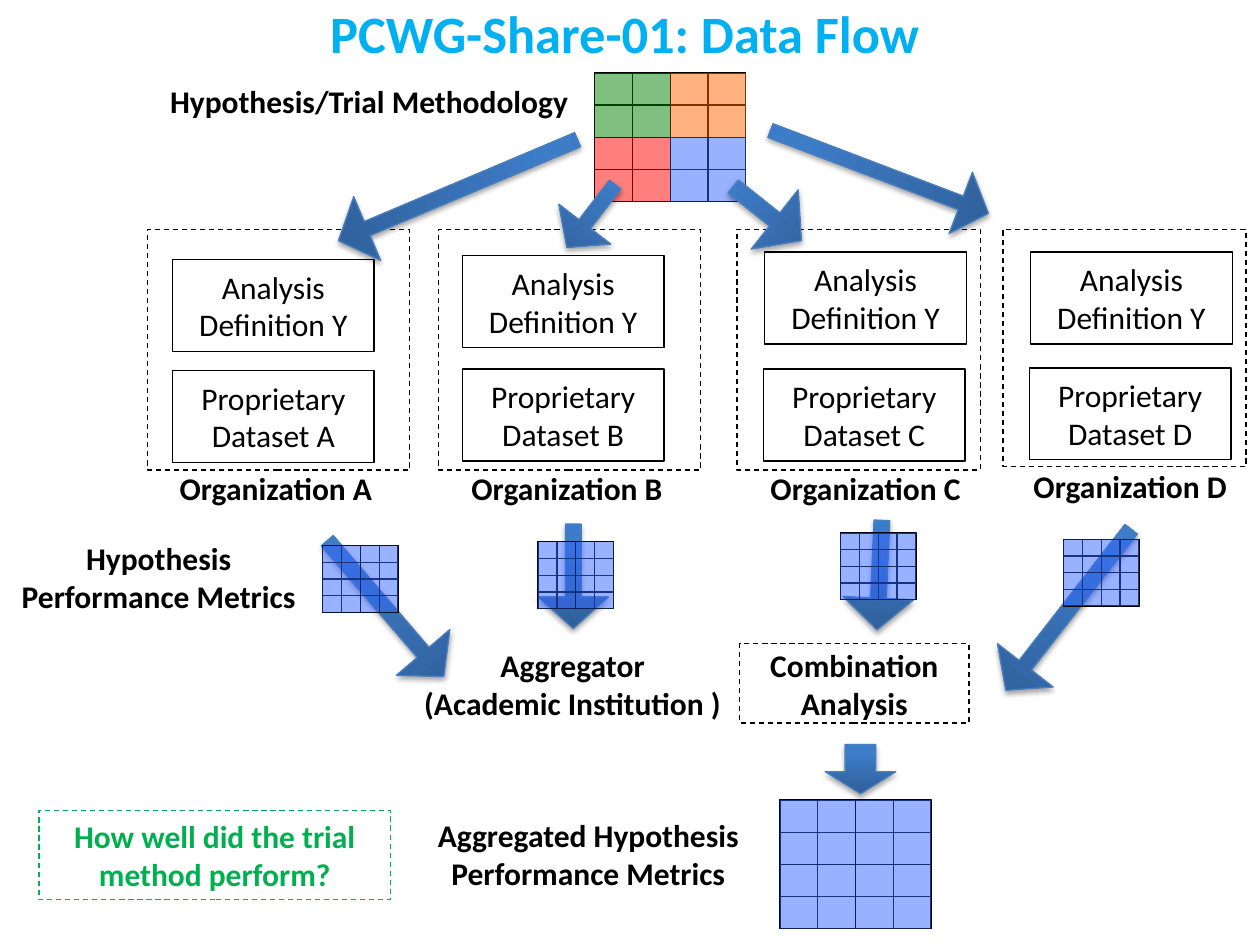
from pptx import Presentation
from pptx.dml.color import RGBColor
from pptx.enum.dml import MSO_LINE
from pptx.enum.shapes import MSO_SHAPE
from pptx.enum.text import MSO_ANCHOR, MSO_AUTO_SIZE, PP_ALIGN
from pptx.oxml import parse_xml
from pptx.oxml.ns import nsdecls, qn
from pptx.util import Emu, Pt

RECT, DOWN_ARROW = MSO_SHAPE.RECTANGLE, MSO_SHAPE.DOWN_ARROW
DASH, CENTER, MIDDLE = MSO_LINE.DASH, PP_ALIGN.CENTER, MSO_ANCHOR.MIDDLE
NO_AUTOFIT = MSO_AUTO_SIZE.NONE

PX = 9144  # 100 px to the inch
FONT = "Calibri"
BLACK, GREEN, SKY = "000000", "00B050", "00B0F0"
BLUE, RED, LEAF, ORANGE = "3366FF", "FF0000", "008000", "FF6600"
ARROW_LINE = "4B7EBC"
ARROW_STOPS = ((0, "2F5F99"), (80, "3D7CC7"), (100, "3A7CCB"))
INNER_BOX = (160, 73)
SMALL_GRID = (60, 53)
LARGE_GRID = (120, 102)


def px(*lengths):
    return [Emu(round(length * PX)) for length in lengths]


def color(value):
    return RGBColor.from_string(value)


def write(frame, lines, size=18, bold=False, ink=BLACK):
    frame.word_wrap = True
    frame.auto_size = NO_AUTOFIT
    for index, line in enumerate(lines):
        para = frame.add_paragraph() if index else frame.paragraphs[0]
        para.alignment = CENTER
        span = para.add_run()
        span.text = line
        span.font.name, span.font.size = FONT, Pt(size)
        span.font.bold, span.font.color.rgb = bold, color(ink)


def label(page, box, *lines):
    write(page.shapes.add_textbox(*px(*box)).text_frame, lines, bold=True)


def outline(shapes, box, ink=BLACK, dashed=False):
    shape = shapes.add_shape(RECT, *px(*box))
    shape.shadow.inherit = False
    shape.fill.background()
    shape.line.color.rgb, shape.line.width = color(ink), Pt(0.75)
    if dashed:
        shape.line.dash_style = DASH
    return shape


def tint(shapes, box, shade):
    shape = shapes.add_shape(RECT, *px(*box))
    shape.shadow.inherit = False
    shape.line.fill.background()
    shape.fill.solid()
    shape.fill.fore_color.rgb = color(shade)
    # Half transparent
    solid = shape.element.spPr.find(qn("a:solidFill"))
    solid[0].append(parse_xml(f'<a:alpha {nsdecls("a")} val="50000"/>'))


def grid(page, box, shades=(BLUE,) * 4):
    """A 4 by 4 grid; shades run by quadrant, row by row."""
    left, top, width, height = box
    shapes = page.shapes.add_group_shape().shapes
    for step in range(4):
        outline(shapes, (left + step * width / 4, top, width / 4, height))
    for step in range(4):
        outline(shapes, (left, top + step * height / 4, width, height / 4))
    for index, shade in enumerate(shades):
        row, column = divmod(index, 2)
        tint(shapes, (left + column * width / 2, top + row * height / 2,
                      width / 2, height / 2), shade)


def arrow(page, box, rotation=0, shaft=0.221):
    shape = page.shapes.add_shape(DOWN_ARROW, *px(*box))
    shape.rotation = rotation
    shape.adjustments[0], shape.adjustments[1] = shaft, 0.45
    shape.line.color.rgb, shape.line.width = color(ARROW_LINE), Pt(0.75)
    shape.shadow.inherit = False
    # Three-stop gradient and soft shadow
    stops = "".join(f'<a:gs pos="{place * 1000}"><a:srgbClr val="{shade}"/></a:gs>'
                    for place, shade in ARROW_STOPS)
    properties = shape.element.spPr
    properties.find(qn("a:prstGeom")).addnext(parse_xml(
        f'<a:gradFill {nsdecls("a")} rotWithShape="1"><a:gsLst>{stops}</a:gsLst>'
        '<a:lin ang="16200000" scaled="0"/></a:gradFill>'))
    properties.find(qn("a:effectLst")).append(parse_xml(
        f'<a:outerShdw {nsdecls("a")} blurRad="40000" dist="23000" dir="5400000" '
        'rotWithShape="0"><a:srgbClr val="000000"><a:alpha val="35000"/>'
        '</a:srgbClr></a:outerShdw>'))


def title(page, box):
    shape = page.shapes.title
    shape.left, shape.top, shape.width, shape.height = px(*box)
    frame = shape.text_frame
    frame.vertical_anchor = MIDDLE
    frame.margin_left, frame.margin_right = px(14, 14)
    frame.margin_top, frame.margin_bottom = px(7, 7)
    write(frame, ["PCWG-Share-01: Data Flow"], 30, True, SKY)


def organization(page, box, letter, definition_at, dataset_at, label_at):
    """Dashed frame with two inner boxes and a name, offset from its corner."""
    left, top = box[:2]
    outline(page.shapes, box, dashed=True)
    for (x, y), text in ((definition_at, "Analysis Definition Y"),
                         (dataset_at, f"Proprietary Dataset {letter}")):
        inner = outline(page.shapes, (left + x, top + y, *INNER_BOX))
        write(inner.text_frame, [text])
    x, y = label_at
    label(page, (left + x, top + y, 184, 40), f"Organization {letter}")


def methodology(page, box):
    """Trial grid with its name and the arrows to the organizations."""
    left, top = box[:2]
    label(page, (left, top + 2, 352, 40), "Hypothesis/Trial Methodology")
    grid(page, (left + 355, top, *LARGE_GRID), (LEAF, ORANGE, RED, BLUE))
    for x, y, width, height, rotation in (
            (326, 82, 52, 63, 37.5), (219, -10, 55, 206, 67.1),
            (555, -14, 52, 185, 290.8), (462, 77, 60, 69, 308.4)):
        arrow(page, (left + x, top + y, width, height), rotation)


def metrics(page, box):
    """Results sent by each organization to the aggregator."""
    left, top = box[:2]
    label(page, (left, top + 20, 256, 71), "Hypothesis Performance Metrics")
    for arrow_box, rotation, grid_at in (
            ((280, 9, 56, 142), 319.4, (258, 30)),
            ((429, 13, 56, 83), 0, (429, 27)),
            ((672, 10, 56, 87), 2.6, (669, 20)),
            ((822, 0, 56, 162), 37.9, (846, 25))):
        x, y, width, height = arrow_box
        arrow(page, (left + x, top + y, width, height), rotation)
        grid(page, (left + grid_at[0], top + grid_at[1], *SMALL_GRID))


def aggregation(page, box):
    """Aggregator, combination analysis and the aggregated result."""
    left, top = box[:2]
    label(page, (left, top, 287, 71), "Aggregator", "(Academic Institution )")
    outline(page.shapes, (left + 276, top + 3, 182, 63), dashed=True)
    label(page, (left + 276, top, 182, 71), "Combination Analysis")
    arrow(page, (left + 344, top + 83, 56, 39), shaft=0.435)
    label(page, (left + 14, top + 135, 284, 71),
          "Aggregated Hypothesis Performance Metrics")
    grid(page, (left + 308, top + 127, *LARGE_GRID))


def question(page, box):
    shape = outline(page.shapes, box, GREEN, dashed=True)
    write(shape.text_frame, ["How well did the trial method perform?"],
          bold=True, ink=GREEN)


def main():
    deck = Presentation()
    deck.slide_width, deck.slide_height = px(1000, 750)
    page = deck.slides.add_slide(deck.slide_layouts[5])
    title(page, (-4, -1, 1000, 53))
    for details in (
            ((117, 182, 208, 191), "A", (20, 24), (20, 112), (10, 185)),
            ((348, 182, 208, 191), "B", (19, 21), (19, 111), (10, 185)),
            ((585, 182, 193, 191), "C", (22, 18), (21, 111), (10, 185)),
            ((796, 182, 193, 188), "D", (22, 18), (21, 110), (9, 184))):
        organization(page, *details)
    methodology(page, (117, 58, 673, 146))
    metrics(page, (-2, 403, 910, 162))
    aggregation(page, (311, 508, 458, 229))
    question(page, (31, 643, 279, 71))
    deck.save("out.pptx")


if __name__ == "__main__":
    main()
